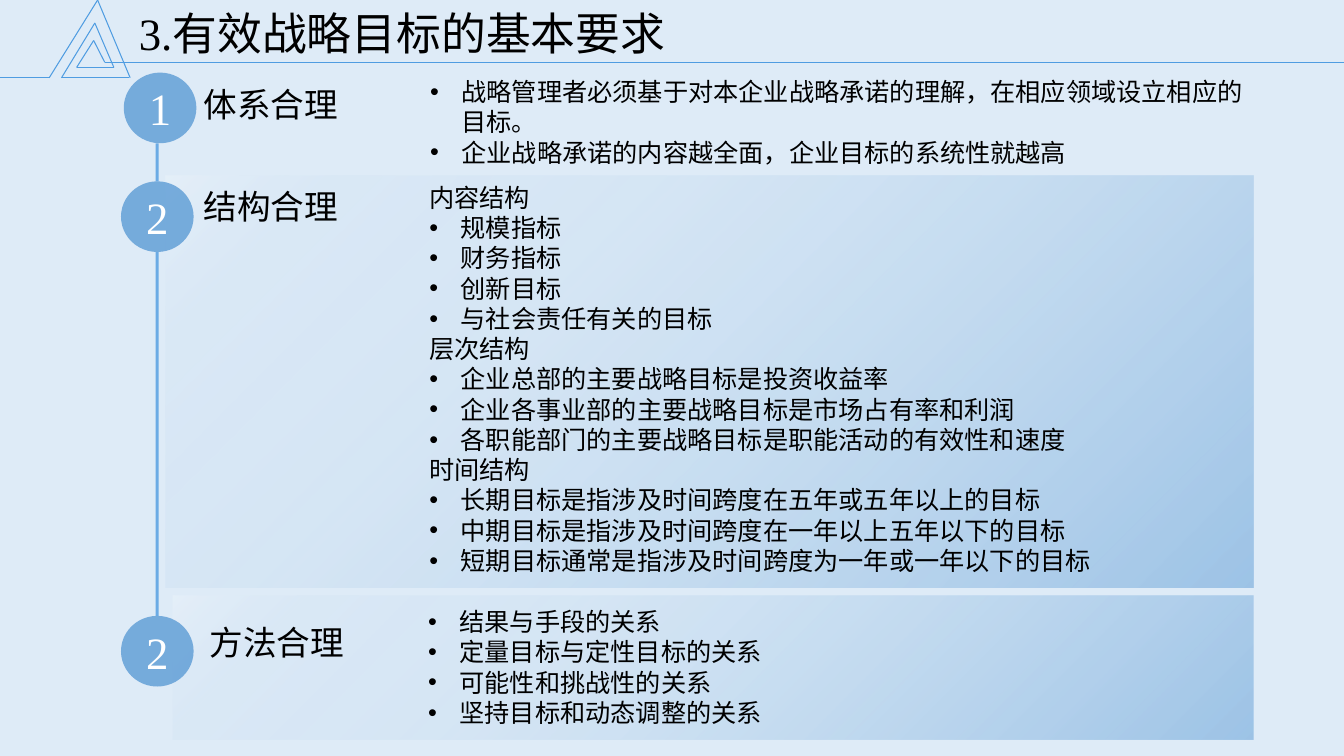
from pptx import Presentation
from pptx.dml.color import RGBColor
from pptx.enum.shapes import MSO_CONNECTOR, MSO_SHAPE
from pptx.enum.text import MSO_ANCHOR, PP_ALIGN
from pptx.oxml import parse_xml
from pptx.oxml.ns import nsdecls, qn
from pptx.util import Cm, Pt
from lxml import etree

STRAIGHT = MSO_CONNECTOR.STRAIGHT
RECT, OVAL = MSO_SHAPE.RECTANGLE, MSO_SHAPE.OVAL
MIDDLE, CENTER = MSO_ANCHOR.MIDDLE, PP_ALIGN.CENTER

FONT = "Times New Roman"
BACKGROUND = RGBColor(0xDE, 0xEB, 0xF7)
LINE_BLUE = RGBColor(0x4F, 0x9C, 0xE1)
BADGE_BLUE = RGBColor(0x5B, 0x9B, 0xD5)
PALE_BLUE = RGBColor(0xB5, 0xD2, 0xEC)
WHITE = RGBColor(0xFF, 0xFF, 0xFF)
BLACK = RGBColor(0, 0, 0)
PANEL_STOPS = [(0, BADGE_BLUE, 50), (67, PALE_BLUE, 20),
               (88, PALE_BLUE, 10), (100, WHITE, 20)]

BADGE_W, BADGE_H = 1.83, 1.78
SPINE_X = 3.96

SECTIONS = [
    dict(box=(4.17, 1.68, 27.43, 2.6), number="1", heading="体系合理", panel=False,
         badge_at=(-1.05, 0.15), heading_at=(0.71, 0.3), body_at=(6.42, 0.12),
         body_w=21.13, groups=[
             (None, ["战略管理者必须基于对本企业战略承诺的理解，在相应领域设立相应的目标。",
                     "企业战略承诺的内容越全面，企业目标的系统性就越高"])]),
    dict(box=(4.17, 4.42, 27.43, 10.39), number="2", heading="结构合理", panel=True,
         badge_at=(-1.12, 0.15), heading_at=(0.71, 0.15), body_at=(6.4, 0.05),
         body_w=20.83, groups=[
             ("内容结构", ["规模指标", "财务指标", "创新目标", "与社会责任有关的目标"]),
             ("层次结构", ["企业总部的主要战略目标是投资收益率",
                       "企业各事业部的主要战略目标是市场占有率和利润",
                       "各职能部门的主要战略目标是职能活动的有效性和速度"]),
             ("时间结构", ["长期目标是指涉及时间跨度在五年或五年以上的目标",
                       "中期目标是指涉及时间跨度在一年以上五年以下的目标",
                       "短期目标通常是指涉及时间跨度为一年或一年以下的目标"])]),
    dict(box=(4.34, 15.01, 27.25, 3.63), number="2", heading="方法合理", panel=True,
         badge_at=(-1.29, 0.51), heading_at=(0.69, 0.53), body_at=(6.2, 0.15),
         body_w=21.13, groups=[
             (None, ["结果与手段的关系", "定量目标与定性目标的关系",
                     "可能性和挑战性的关系", "坚持目标和动态调整的关系"])]),
]


def set_alpha(fill, percent):
    color = next(fill.iter(qn("a:srgbClr")))
    etree.SubElement(color, qn("a:alpha")).set("val", str(percent * 1000))


def add_line(s, x1, y1, x2, y2, width=0.75, alpha=None):
    line = s.shapes.add_connector(STRAIGHT, Cm(x1), Cm(y1), Cm(x2), Cm(y2))
    line.line.color.rgb = LINE_BLUE
    line.line.width = Pt(width)
    sp_pr = line._element.spPr
    etree.SubElement(sp_pr, qn("a:effectLst"))
    if alpha:
        set_alpha(sp_pr, alpha)


def add_run(p, text, size, color=BLACK):
    r = p.add_run()
    r.text = text
    r.font.size = Pt(size)
    r.font.name = FONT
    r.font.color.rgb = color


def add_text_box(s, x, y, w, h):
    tf = s.shapes.add_textbox(Cm(x), Cm(y), Cm(w), Cm(h)).text_frame
    tf.word_wrap = True
    return tf


def add_bullet(p):
    p_pr = p._p.get_or_add_pPr()
    p_pr.set("marL", str(Cm(0.79)))
    p_pr.set("indent", str(-Cm(0.79)))
    etree.SubElement(p_pr, qn("a:buFont")).set("typeface", "Arial")
    etree.SubElement(p_pr, qn("a:buChar")).set("char", "•")


def add_shape(s, kind, x, y, w, h):
    sp = s.shapes.add_shape(kind, Cm(x), Cm(y), Cm(w), Cm(h))
    sp.shadow.inherit = False
    sp.line.fill.background()
    return sp


def add_panel(s, x, y, w, h):
    sp = add_shape(s, RECT, x, y, w, h)
    sp.fill.gradient()
    stops = "".join(
        f'<a:gs pos="{pos * 1000}"><a:srgbClr val="{color}">'
        f'<a:alpha val="{alpha * 1000}"/></a:srgbClr></a:gs>'
        for pos, color, alpha in PANEL_STOPS)
    gradient = parse_xml(
        f'<a:gradFill {nsdecls("a")} rotWithShape="1"><a:gsLst>{stops}</a:gsLst>'
        '<a:path path="circle"><a:fillToRect l="100000" t="100000"/></a:path>'
        '</a:gradFill>')
    sp_pr = sp._element.spPr
    sp_pr.replace(sp_pr.find(qn("a:gradFill")), gradient)


def add_badge(s, x, y, number):
    sp = add_shape(s, OVAL, x, y, BADGE_W, BADGE_H)
    sp.fill.solid()
    sp.fill.fore_color.rgb = BADGE_BLUE
    set_alpha(sp._element.spPr, 80)
    tf = sp.text_frame
    tf.vertical_anchor = MIDDLE
    p = tf.paragraphs[0]
    p.alignment = CENTER
    add_run(p, number, 32, WHITE)


def add_body(s, x, y, w, h, groups):
    tf = add_text_box(s, x, y, w, h)
    rows = []
    for title, items in groups:
        if title:
            rows.append((title, False))
        rows += [(item, True) for item in items]
    for i, (text, bulleted) in enumerate(rows):
        p = tf.add_paragraph() if i else tf.paragraphs[0]
        if bulleted:
            add_bullet(p)
        add_run(p, text, 18)


def add_section(s, box, number, heading, panel, badge_at, heading_at, body_at,
                body_w, groups):
    x, y, w, h = box
    if panel:
        add_panel(s, x, y, w, h)
    add_badge(s, x + badge_at[0], y + badge_at[1], number)
    tf = add_text_box(s, x + heading_at[0], y + heading_at[1], 5.56, 1.28)
    add_run(tf.paragraphs[0], heading, 24)
    add_body(s, x + body_at[0], y + body_at[1], body_w, h - body_at[1], groups)


def add_spine(s, sections):
    tops = [sec["box"][1] + sec["badge_at"][1] for sec in sections]
    for top, next_top in zip(tops, tops[1:]):
        add_line(s, SPINE_X, top + BADGE_H, SPINE_X, next_top, 2, 80)


def add_header(s, x, y, w, h):
    base, inner, rule = y + 1.96, y + 1.7, y + 1.57
    peak, middle, core = (x + 2.46, y), (x + 2.39, y + 0.58), (x + 2.36, y + 1.02)
    for start, end in [
            ((x + 2.64, rule), (x + w, rule)),
            (peak, (x + 1.24, base)), ((x, base), (x + 1.24, base)),
            (peak, (x + 3.28, base)), ((x + 1.55, base), (x + 3.25, base)),
            (middle, (x + 1.55, base)), (middle, (x + 2.87, inner)),
            ((x + 1.93, inner), (x + 2.87, inner)),
            (core, (x + 1.93, inner)), (core, (x + 2.64, rule))]:
        add_line(s, *start, *end)
    tf = add_text_box(s, x + 3.25, y + 0.18, 29.21, h - 0.26)
    p = tf.paragraphs[0]
    p.line_spacing = 0.9
    add_run(p, "3.有效战略目标的基本要求", 32)


def main():
    prs = Presentation()
    prs.slide_width, prs.slide_height = Cm(33.87), Cm(19.05)
    s = prs.slides.add_slide(prs.slide_layouts[6])
    s.background.fill.solid()
    s.background.fill.fore_color.rgb = BACKGROUND
    add_header(s, 0, 0, 33.87, 1.96)
    for section in SECTIONS:
        add_section(s, **section)
    add_spine(s, SECTIONS)
    prs.save("out.pptx")


if __name__ == "__main__":
    main()
